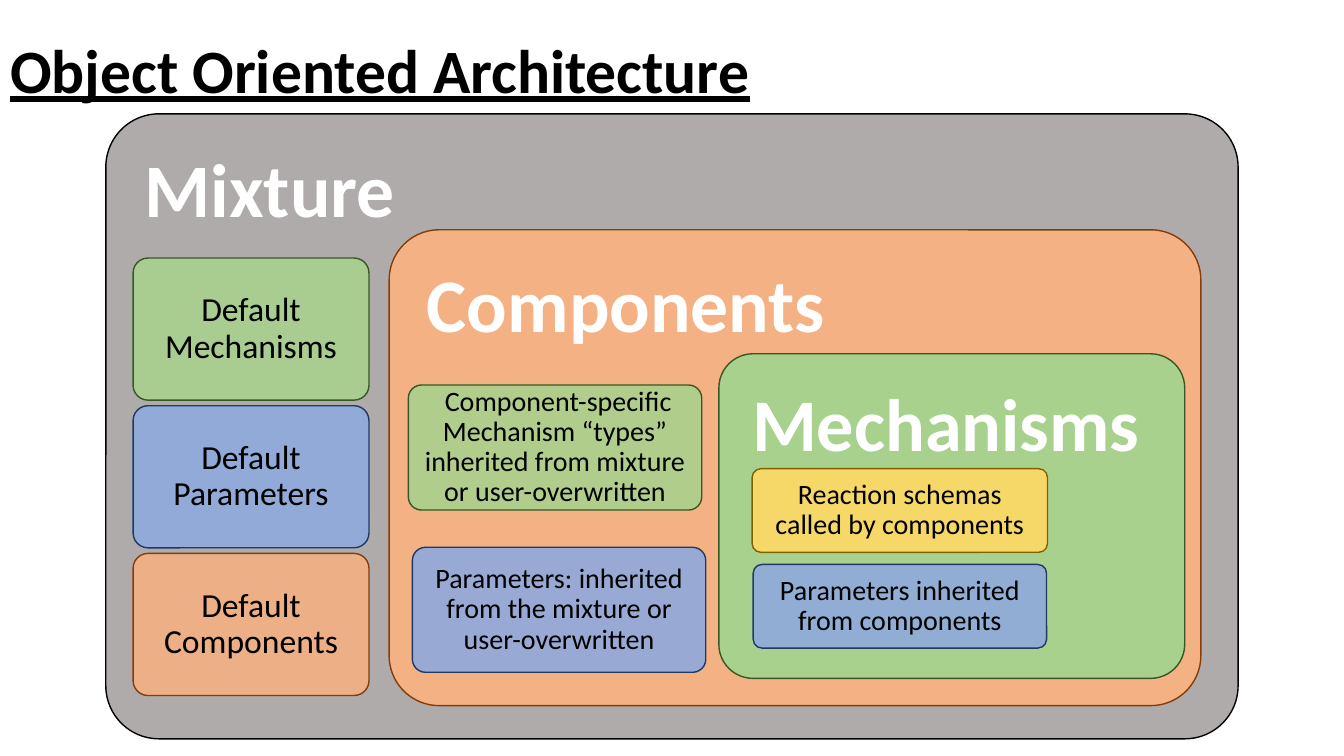
from lxml.etree import SubElement
from pptx import Presentation
from pptx.dml.color import RGBColor
from pptx.enum.shapes import MSO_SHAPE
from pptx.enum.text import MSO_ANCHOR, MSO_AUTO_SIZE, PP_ALIGN
from pptx.oxml.ns import qn
from pptx.util import Inches, Pt

BLACK = RGBColor(0x00, 0x00, 0x00)
WHITE = RGBColor(0xFF, 0xFF, 0xFF)
GRAY = (RGBColor(0xAF, 0xAB, 0xAB), BLACK)
GREEN = (RGBColor(0xA9, 0xD1, 0x8E), RGBColor(0x38, 0x57, 0x23))
BLUE = (RGBColor(0x8F, 0xAA, 0xDC), RGBColor(0x20, 0x38, 0x64))
ORANGE = (RGBColor(0xF4, 0xB1, 0x83), RGBColor(0x84, 0x3C, 0x0B))
YELLOW = (RGBColor(0xFF, 0xD9, 0x66), RGBColor(0x80, 0x60, 0x00))


def style(frame, text, size, color, bold, align, anchor):
    frame.text = text
    frame.word_wrap = True
    frame.auto_size = MSO_AUTO_SIZE.NONE
    frame.vertical_anchor = anchor
    para = frame.paragraphs[0]
    para.alignment = align
    para.line_spacing = 0.9
    font = para.runs[0].font
    font.name = "Calibri"
    font.size = Pt(size)
    font.bold = bold
    font.color.rgb = color
    return font


def add_box(slide, box, tone, round_by, inset):
    shape = slide.shapes.add_shape(MSO_SHAPE.ROUNDED_RECTANGLE, *map(Inches, box))
    shape.shadow.inherit = False
    shape.adjustments[0] = round_by
    shape.fill.solid()
    shape.fill.fore_color.rgb, shape.line.color.rgb = tone
    shape.line.width = Pt(1)
    frame = shape.text_frame
    frame.margin_left = frame.margin_right = Inches(inset)
    frame.margin_top = frame.margin_bottom = Inches(inset)
    return shape


def add_panel(slide, box, text, tone, size=54, round_by=0.105):
    shape = add_box(slide, box, tone, round_by, 0.23)
    style(shape.text_frame, text, size, WHITE, True, PP_ALIGN.LEFT, MSO_ANCHOR.TOP)


def add_card(slide, box, text, tone, size=20, inset=0.08):
    shape = add_box(slide, box, tone, 0.105, inset)
    style(shape.text_frame, text, size, BLACK, False, PP_ALIGN.CENTER, MSO_ANCHOR.MIDDLE)
    color = shape.fill._xPr.find(qn("a:solidFill"))[0]
    SubElement(color, qn("a:alpha")).set("val", "90000")


def add_title(slide, box, text):
    title = slide.shapes.title
    title.left, title.top, title.width, title.height = map(Inches, box)
    font = style(title.text_frame, text, 44, BLACK, True, PP_ALIGN.LEFT, MSO_ANCHOR.MIDDLE)
    font.underline = True


def add_mixture(slide, box):
    left, top = box[:2]
    add_panel(slide, box, "Mixture", GRAY, round_by=0.085)
    cards = [("Mechanisms", GREEN), ("Parameters", BLUE), ("Components", ORANGE)]
    for row, (name, tone) in enumerate(cards):
        place = (left + 0.27, top + 1.43 + row * 1.465, 2.34, 1.41)
        add_card(slide, place, f"Default {name}", tone, 24, 0.1)
    add_components(slide, (left + 2.81, top + 1.15, 8.05, 4.72))


def add_components(slide, box):
    left, top = box[:2]
    add_panel(slide, box, "Components", ORANGE)
    add_card(slide, (left + 0.19, top + 1.54, 2.91, 1.24),
             " Component-specific Mechanism “types” inherited from mixture or user-overwritten",
             GREEN)
    add_card(slide, (left + 0.23, top + 3.15, 2.91, 1.24),
             "Parameters: inherited from the mixture or user-overwritten", BLUE)
    add_mechanisms(slide, (left + 3.27, top + 1.23, 4.62, 3.22))


def add_mechanisms(slide, box):
    left, top = box[:2]
    add_panel(slide, box, "Mechanisms", GREEN, 53)
    add_card(slide, (left + 0.33, top + 1.14, 2.93, 0.83),
             "Reaction schemas called by components", YELLOW)
    add_card(slide, (left + 0.34, top + 2.09, 2.91, 0.83),
             "Parameters inherited from components", BLUE)


deck = Presentation()
deck.slide_width, deck.slide_height = Inches(13.33), Inches(7.5)
slide = deck.slides.add_slide(deck.slide_layouts[5])
add_title(slide, (0, 0, 11.5, 1.45), "Object Oriented Architecture")
add_mixture(slide, (1.05, 1.13, 11.23, 6.2))
deck.save("out.pptx")
